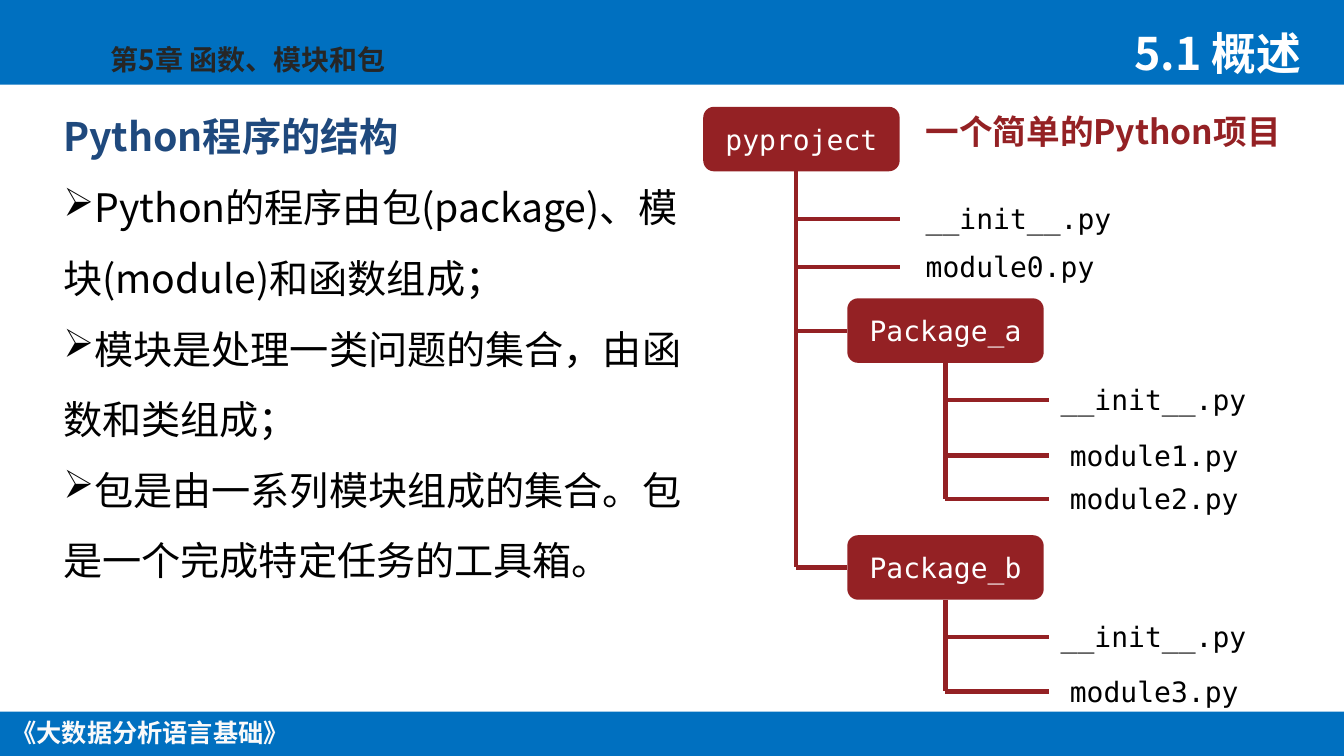
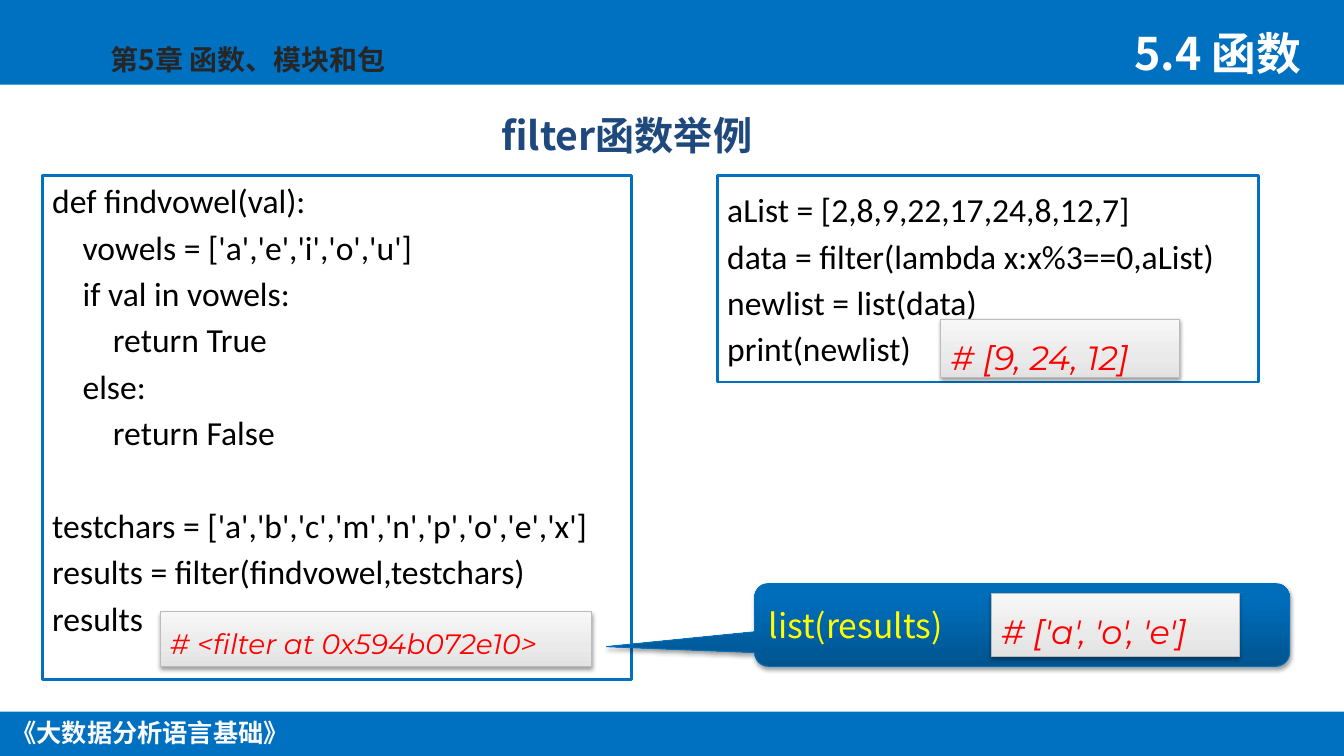
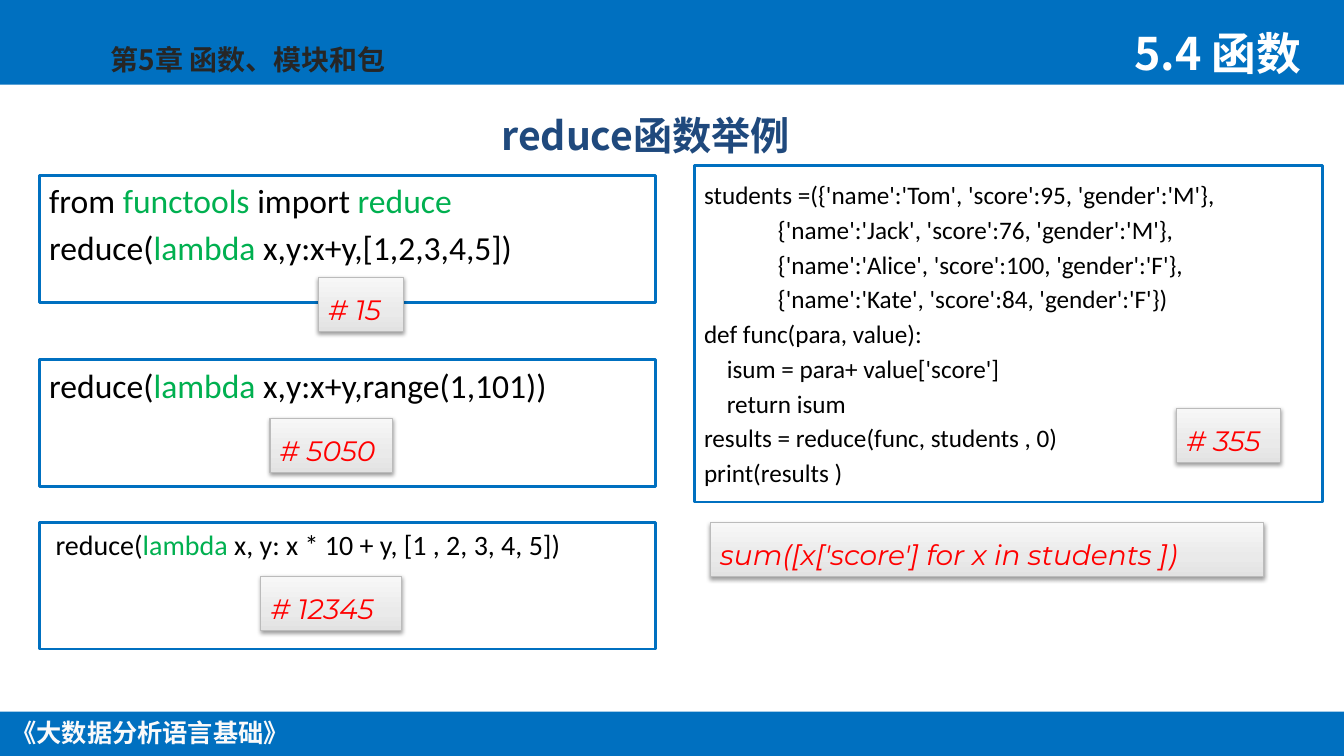
from lxml import etree
from pptx import Presentation
from pptx.dml.color import RGBColor
from pptx.enum.shapes import MSO_CONNECTOR, MSO_SHAPE
from pptx.enum.text import MSO_ANCHOR, PP_ALIGN
from pptx.oxml.ns import qn
from pptx.util import Inches, Pt

BLUE = RGBColor(0x00, 0x70, 0xC0)
NAVY = RGBColor(0x1F, 0x49, 0x7D)
MAROON = RGBColor(0x94, 0x21, 0x24)
RED = RGBColor(0xFF, 0x00, 0x00)
GREEN = RGBColor(0x00, 0xB0, 0x50)
YELLOW = RGBColor(0xFF, 0xFF, 0x00)
BLACK = RGBColor(0x00, 0x00, 0x00)
CHARCOAL = RGBColor(0x26, 0x26, 0x26)
WHITE = RGBColor(0xFF, 0xFF, 0xFF)
OFF_WHITE = RGBColor(0xFA, 0xFA, 0xFA)
SILVER = RGBColor(0xBB, 0xBB, 0xBB)
CALLOUT_LINE = RGBColor(0x00, 0x6E, 0xBC)
GREY_STOPS = [(0, "E2E2E2"), (35, "EAEAEA"), (100, "F7F7F7")]
BLUE_STOPS = [(0, "00548F"), (80, "006DBA"), (100, "006DBB")]

CJK, MONO, CODE, RESULT = "Noto Sans CJK SC", "DejaVu Sans Mono", "Calibri", "Montserrat"
WIDTH, HEIGHT = 13.34, 7.5
HIGHLIGHTED = {"functools ", "reduce", "lambda "}


# Basic parts
def style_run(run, size, font, color, bold=False, italic=False):
    run.font.size, run.font.name = Pt(size), font
    run.font.bold, run.font.italic = bold, italic
    run.font.color.rgb = color
    if font == CJK:
        east_asian = etree.SubElement(run.font._element, qn("a:ea"))
        east_asian.set("typeface", font)


def style_text(shape, *style, **options):
    for paragraph in shape.text_frame.paragraphs:
        for run in paragraph.runs:
            style_run(run, *style, **options)


def add_text(slide, box, text, *style, wrap=True, **options):
    shape = slide.shapes.add_textbox(*map(Inches, box))
    shape.text_frame.word_wrap = wrap
    shape.text_frame.text = text
    style_text(shape, *style, **options)
    return shape


def add_box(slide, box, fill=None, line=None, line_width=2, preset=MSO_SHAPE.RECTANGLE):
    shape = slide.shapes.add_shape(preset, *map(Inches, box))
    shape.shadow.inherit = False
    if fill is not None:
        shape.fill.solid()
        shape.fill.fore_color.rgb = fill
    if line is None:
        shape.line.fill.background()
    else:
        shape.line.color.rgb = line
        shape.line.width = Pt(line_width)
    shape.text_frame.word_wrap = True
    shape.text_frame.vertical_anchor = MSO_ANCHOR.TOP
    return shape


def add_raised_box(slide, box, stops, line, preset=MSO_SHAPE.RECTANGLE):
    """Box with an upward gradient and a soft shadow below it."""
    shape = add_box(slide, box, None, line, 0.75, preset)
    shape.fill.gradient()
    shape.fill.gradient_angle = 90
    properties = shape._element.spPr
    stop_list = properties.find(".//" + qn("a:gsLst"))
    for stop in list(stop_list):
        stop_list.remove(stop)
    for position, color in stops:
        stop = etree.SubElement(stop_list, qn("a:gs"), pos=str(position * 1000))
        etree.SubElement(stop, qn("a:srgbClr"), val=color)
    shadow = etree.SubElement(
        properties.find(qn("a:effectLst")), qn("a:outerShdw"), blurRad=str(Pt(3.1)),
        dist=str(Pt(1.6)), dir="5400000", rotWithShape="0")
    color = etree.SubElement(shadow, qn("a:srgbClr"), val="000000")
    etree.SubElement(color, qn("a:alpha"), val="38000")
    return shape


def add_line(slide, start, end):
    line = slide.shapes.add_connector(MSO_CONNECTOR.STRAIGHT, *map(Inches, start + end))
    line.line.color.rgb = MAROON
    line.line.width = Pt(3)
    etree.SubElement(line._element.spPr, qn("a:effectLst"))
    return line


# Bands, chapter and section title of every slide
def add_frame(presentation, number, topic):
    slide = presentation.slides.add_slide(presentation.slide_layouts[6])
    add_box(slide, (0, 0, WIDTH, 0.84), BLUE)
    add_box(slide, (0, 7.06, WIDTH, 0.44), BLUE)
    footer = add_text(slide, (0, 7.07, 2.98, 0.4), "《大数据分析语言基础》",
                      18, CJK, OFF_WHITE, wrap=False, bold=True)
    footer.text_frame.paragraphs[0].alignment = PP_ALIGN.CENTER
    add_text(slide, (1, 0.37, 3.78, 0.44), "第5章 函数、模块和包", 20, CJK, CHARCOAL, bold=True)
    add_text(slide, (11.16, 0.21, 2.21, 0.64), f"{number} {topic}", 32, CJK, WHITE, bold=True)
    return slide


def add_example_heading(slide, text):
    heading = add_text(slide, (4.88, 1, 3.57, 0.63), text, 28, CJK, NAVY, bold=True)
    heading.text_frame.vertical_anchor = MSO_ANCHOR.BOTTOM
    heading.text_frame.paragraphs[0].line_spacing = 0.9


# Code panel: each line is a string or a list of pieces
def add_code(slide, box, lines, size=24, anchor=MSO_ANCHOR.TOP):
    panel = add_box(slide, box, WHITE, BLUE)
    frame = panel.text_frame
    frame.vertical_anchor = anchor
    for index, line in enumerate(lines):
        paragraph = frame.add_paragraph() if index else frame.paragraphs[0]
        paragraph.alignment = PP_ALIGN.LEFT
        paragraph.font.size = Pt(size)
        if index:
            paragraph.space_before = Pt(round(size * 0.18, 1))
        for piece in [line] if isinstance(line, str) else line:
            run = paragraph.add_run()
            run.text = piece
            style_run(run, size, CODE, GREEN if piece in HIGHLIGHTED else BLACK)


def add_result(slide, box, text, size=20):
    shape = add_raised_box(slide, box, GREY_STOPS, SILVER)
    shape.text_frame.text = text
    paragraph = shape.text_frame.paragraphs[0]
    paragraph.alignment = PP_ALIGN.LEFT
    paragraph.line_spacing = 1.3
    style_text(shape, size, RESULT, RED, italic=True)


# Project tree
def add_package(slide, left, top, name):
    package = add_box(slide, (left, top, 1.95, 0.64), MAROON, preset=MSO_SHAPE.ROUNDED_RECTANGLE)
    package.text_frame.vertical_anchor = MSO_ANCHOR.MIDDLE
    package.text_frame.text = name
    package.text_frame.paragraphs[0].alignment = PP_ALIGN.CENTER
    style_text(package, 20, MONO, WHITE)
    return package


def add_files(slide, stem, files):
    for y, label_left, name in files:
        add_line(slide, (stem, y), (stem + 1.03, y))
        add_text(slide, (label_left, y - 0.22, 2.05 if "init" in name else 1.88, 0.44),
                 name, 20, MONO, BLACK, wrap=False)


def add_project_tree(slide, left, top):
    add_package(slide, left, top, "pyproject")
    trunk = left + 0.92
    add_line(slide, (trunk, top + 0.64), (trunk, top + 4.57))
    label = left + 2.11
    add_files(slide, trunk, [(top + 1.11, label, "__init__.py"), (top + 1.59, label, "module0.py")])
    subpackages = [
        ("Package_a", 1.9, [(1.01, "__init__.py"), (1.56, "module1.py"), (1.99, "module2.py")]),
        ("Package_b", 4.25, [(1.01, "__init__.py"), (1.55, "module3.py")]),
    ]
    for name, offset, files in subpackages:
        box_left, box_top = left + 1.43, top + offset
        package = add_package(slide, box_left, box_top, name)
        middle = box_top + 0.32
        branch = add_line(slide, (trunk, middle), (box_left, middle))
        branch.end_connect(package, 1)
        stem = box_left + 0.975
        stem_line = add_line(slide, (stem, box_top + 0.64), (stem, box_top + files[-1][0]))
        stem_line.begin_connect(package, 2)
        add_files(slide, stem, [(box_top + y, box_left + (2.02 if "init" in file else 2.11), file)
                                for y, file in files])


# Left text of the overview
def add_points(slide, box, heading, points):
    shape = add_text(slide, box, heading, 28, CJK, NAVY, bold=True)
    frame = shape.text_frame
    frame.paragraphs[0].line_spacing = 0.9
    for point in points:
        paragraph = frame.add_paragraph()
        paragraph.line_spacing = 1.5
        properties = paragraph._p.get_or_add_pPr()
        properties.set("marL", "0")
        properties.set("indent", "0")
        etree.SubElement(properties, qn("a:buChar"), char="➢")
        run = paragraph.add_run()
        run.text = point
        style_run(run, 28, CJK, BLACK)


def add_callout(slide, box, text, result):
    left, top = box[:2]
    callout = add_raised_box(slide, box, BLUE_STOPS, CALLOUT_LINE,
                             MSO_SHAPE.ROUNDED_RECTANGULAR_CALLOUT)
    for index, value in enumerate((-0.777, 0.262, 0.167)):
        callout.adjustments[index] = value
    callout.text_frame.vertical_anchor = MSO_ANCHOR.MIDDLE
    callout.text_frame.text = text
    callout.text_frame.paragraphs[0].alignment = PP_ALIGN.LEFT
    style_text(callout, 24, CJK, YELLOW)
    add_result(slide, (left + 2.35, top + 0.1, 2.46, 0.62), result, 24)


# Slides
def build_overview(presentation):
    slide = add_frame(presentation, "5.1", "概述")
    add_points(slide, (0.53, 1.12, 6.61, 5.71), "Python程序的结构", [
        "Python的程序由包(package)、模块(module)和函数组成；",
        "模块是处理一类问题的集合，由函数和类组成；",
        "包是由一系列模块组成的集合。包是一个完成特定任务的工具箱。",
    ])
    add_project_tree(slide, 6.98, 1.06)
    caption = add_text(slide, (9.09, 0.85, 4.2, 0.8), "一个简单的Python项目",
                       24, CJK, MAROON, bold=True)
    caption.text_frame.paragraphs[0].line_spacing = 1.5


def build_filter(presentation):
    slide = add_frame(presentation, "5.4", "函数")
    add_example_heading(slide, "filter函数举例")
    add_code(slide, (0.42, 1.74, 5.85, 5), [
        "def findvowel(val):",
        "    vowels = ['a','e','i','o','u']",
        "    if val in vowels:",
        "        return True",
        "    else:",
        "        return False",
        "",
        "testchars = ['a','b','c','m','n','p','o','e','x']",
        "results = filter(findvowel,testchars)",
        "results",
    ])
    add_result(slide, (1.59, 6.07, 4.28, 0.54), "# <filter at 0x594b072e10>")
    add_callout(slide, (7.49, 5.79, 5.31, 0.82), "list(results)", "# ['a', 'o', 'e']")
    add_code(slide, (7.12, 1.74, 5.37, 2.05), [
        "aList = [2,8,9,22,17,24,8,12,7]",
        "data = filter(lambda x:x%3==0,aList)",
        "newlist = list(data)",
        "print(newlist)",
    ], anchor=MSO_ANCHOR.MIDDLE)
    add_result(slide, (9.34, 3.17, 2.37, 0.58), "# [9, 24, 12]", 24)


def build_reduce(presentation):
    slide = add_frame(presentation, "5.4", "函数")
    add_example_heading(slide, "reduce函数举例")
    examples = [
        (1.74, 24, [["from ", "functools ", "import ", "reduce"],
                    ["reduce(", "lambda ", "x,y:x+y,[1,2,3,4,5])"]],
         (3.16, 2.75, 0.85), "# 15"),
        (3.57, 24, [["reduce(", "lambda ", "x,y:x+y,range(1,101))"]],
         (2.68, 4.15, 1.22), "# 5050"),
        (5.18, 20, [[" reduce(", "lambda ", "x, y: x * 10 + y, [1 , 2, 3, 4, 5])"]],
         (2.59, 5.72, 1.4), "# 12345"),
    ]
    for top, size, lines, result_box, result in examples:
        add_code(slide, (0.39, top, 6.12, 1.26), lines, size)
        add_result(slide, (*result_box, 0.54), result)
    add_code(slide, (6.89, 1.64, 6.24, 3.34), [
        "students =({'name':'Tom', 'score':95, 'gender':'M'},",
        "             {'name':'Jack', 'score':76, 'gender':'M'},",
        "             {'name':'Alice', 'score':100, 'gender':'F'},",
        "             {'name':'Kate', 'score':84, 'gender':'F'})",
        "def func(para, value):",
        "    isum = para+ value['score']",
        "    return isum",
        "results = reduce(func, students , 0)",
        "print(results )",
    ], 18, MSO_ANCHOR.MIDDLE)
    add_result(slide, (11.68, 4.05, 1.03, 0.54), "# 355")
    add_result(slide, (7.05, 5.18, 5.49, 0.54), "sum([x['score'] for x in students ])")


def main():
    presentation = Presentation()
    presentation.slide_width, presentation.slide_height = Inches(WIDTH), Inches(HEIGHT)
    for build in (build_overview, build_filter, build_reduce):
        build(presentation)
    presentation.save("out.pptx")


if __name__ == "__main__":
    main()
